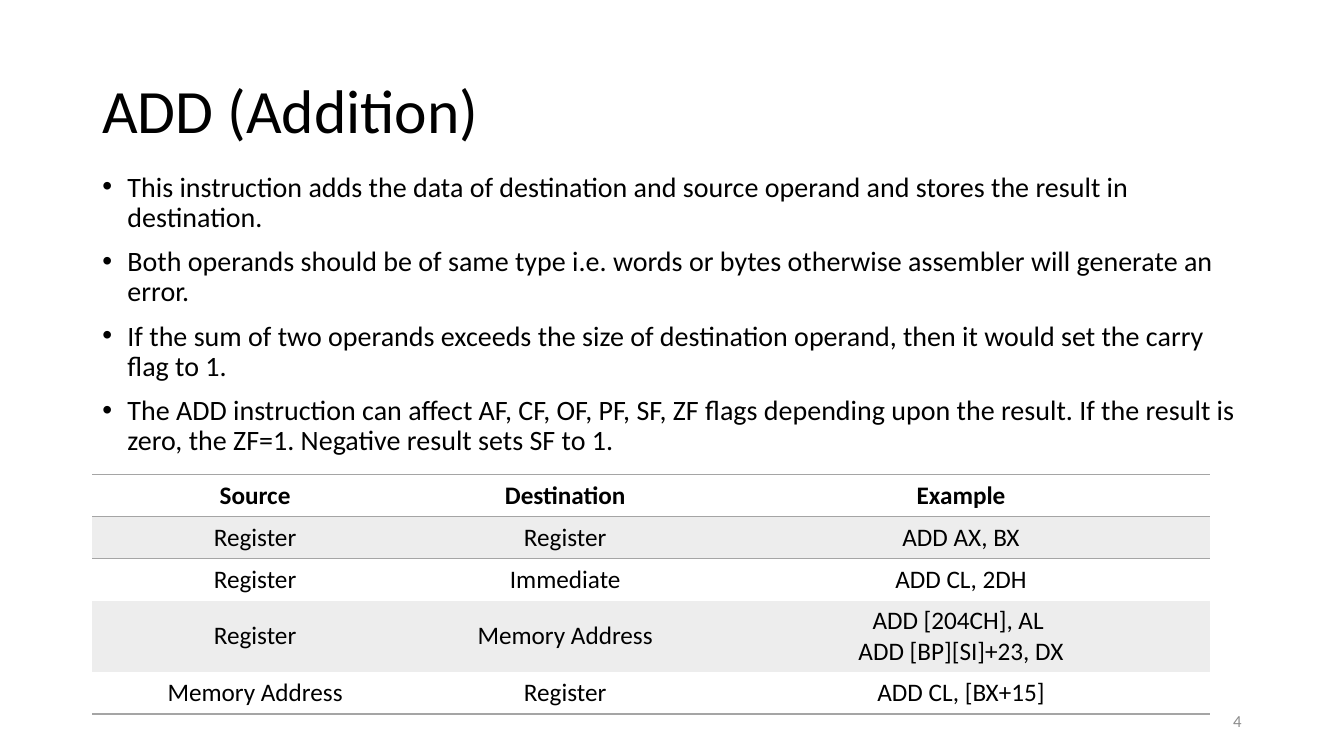
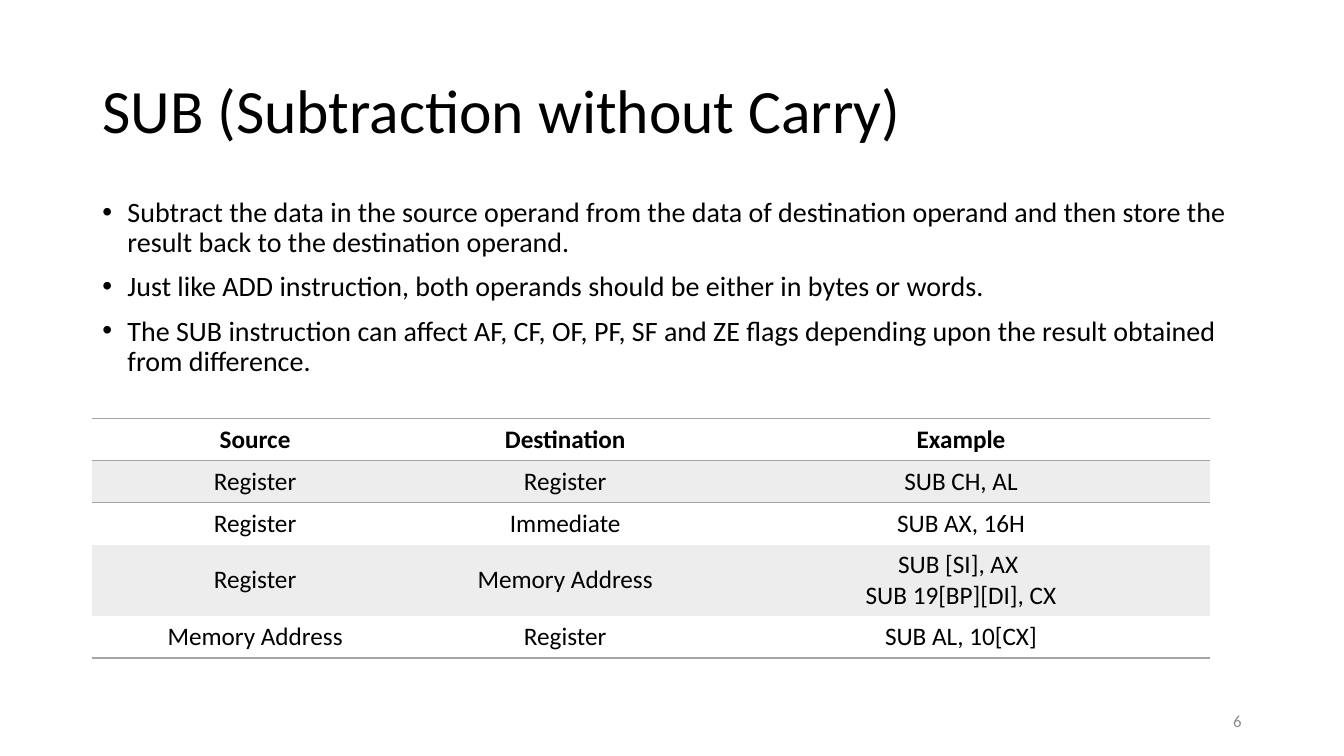
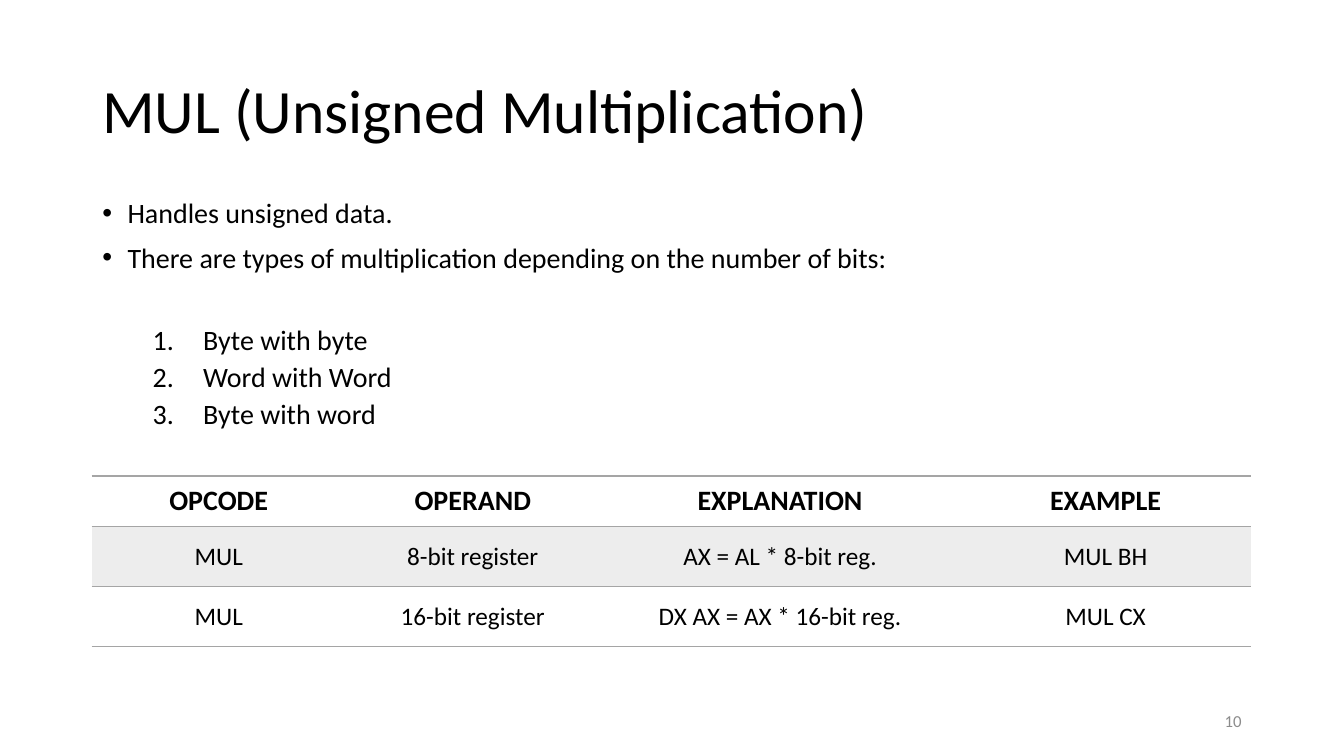
from lxml.etree import SubElement
from pptx import Presentation
from pptx.dml.color import RGBColor
from pptx.enum.text import MSO_ANCHOR, PP_ALIGN
from pptx.oxml import parse_xml
from pptx.oxml.ns import nsdecls, qn
from pptx.util import Pt

THEME = {
    "font": "Calibri",
    "text": "000000",
    "muted": "8C8C8C",
    "rule": "A5A5A5",
    "band": "EDEDED",
    "title_size": 44,
    "body_size": 20,
    "cell_size": 18,
    "page_size": 12,
}
PLAIN_TABLE = "{2D5ABB26-0587-4C30-8999-92F81FD0307C}"
LEFT, WIDTH = 66, 828

TITLE_FORMAT = {"line_spacing": 0.9}
BULLET_FORMAT = {"line_spacing": 0.9, "space_before": Pt(10)}
NUMBER_FORMAT = {"line_spacing": 0.9, "space_before": Pt(5)}
FIRST_NUMBER_FORMAT = NUMBER_FORMAT | {"space_before": Pt(37)}
PAGE_FORMAT = {"alignment": PP_ALIGN.RIGHT}
CELL_FORMAT = {"alignment": PP_ALIGN.CENTER}

LIST_MARKS = {
    "bullet": (18, -18, "a:buChar", {"char": "•"}),
    "number": (72, -36, "a:buAutoNum", {"type": "arabicPeriod"}),
}

OPERAND_TABLE = {
    "left": 66,
    "columns": [232.5, 210.5, 355],
    "heights": [30, 30, 30, 51, 30],
    "header_size": THEME["cell_size"],
    "header_margins": (7.2, 3.6),
    "body_margins": (7.2, 3.6),
}
OPCODE_TABLE = {
    "left": 65.5,
    "columns": [181.5, 181.5, 257.5, 207.5],
    "heights": [36, 43, 43],
    "header_size": THEME["body_size"],
    "header_margins": (5.76, 5.76),
    "body_margins": (7.2, 10.5),
}
OPERAND_HEADER = ["Source", "Destination", "Example"]
OPERAND_PAIRS = [
    ["Register", "Register"],
    ["Register", "Immediate"],
    ["Register", "Memory Address"],
    ["Memory Address", "Register"],
]

add_examples = ["ADD AX, BX", "ADD CL, 2DH", "ADD [204CH], AL \nADD [BP][SI]+23, DX", "ADD CL, [BX+15]"]
sub_examples = ["SUB CH, AL", "SUB AX, 16H", "SUB [SI], AX \nSUB 19[BP][DI], CX", "SUB AL, 10[CX]"]

SLIDES = [
    {
        "title": "ADD (Addition)",
        "page": "4",
        "body_box": (120, WIDTH, 343),
        "bullets": [
            "This instruction adds the data of destination and source operand and stores the result in destination.",
            "Both operands should be of same type i.e. words or bytes otherwise assembler will generate an error.",
            "If the sum of two operands exceeds the size of destination operand, then it would set the carry flag to 1.",
            "The ADD instruction can affect AF, CF, OF, PF, SF, ZF flags depending upon the result. "
            "If the result is zero, the ZF=1. Negative result sets SF to 1.",
        ],
        "numbers": [],
        "table": OPERAND_TABLE,
        "table_top": 339,
        "rows": [OPERAND_HEADER] + [pair + [example] for pair, example in zip(OPERAND_PAIRS, add_examples)],
    },
    {
        "title": "SUB (Subtraction without Carry)",
        "page": "6",
        "body_box": (138, WIDTH, 343),
        "bullets": [
            "Subtract the data in the source operand from the data of destination operand "
            "and then store the result back to the destination operand.",
            "Just like ADD instruction, both operands should be either in bytes or words.",
            "The SUB instruction can affect AF, CF, OF, PF, SF and ZE flags depending upon "
            "the result obtained from difference.",
        ],
        "numbers": [],
        "table": OPERAND_TABLE,
        "table_top": 299,
        "rows": [OPERAND_HEADER] + [pair + [example] for pair, example in zip(OPERAND_PAIRS, sub_examples)],
    },
    {
        "title": "MUL (Unsigned Multiplication)",
        "page": "10",
        "body_box": (139, 790.5, 311),
        "bullets": [
            "Handles unsigned data.",
            "There are types of multiplication depending on the number of bits:",
        ],
        "numbers": ["Byte with byte", "Word with Word", "Byte with word"],
        "table": OPCODE_TABLE,
        "table_top": 340,
        "rows": [
            ["OPCODE", "OPERAND", "EXPLANATION", "EXAMPLE"],
            ["MUL", "8-bit register", "AX = AL * 8-bit reg.", "MUL BH"],
            ["MUL", "16-bit register", "DX AX = AX * 16-bit reg.", "MUL CX"],
        ],
    },
]


def write_lines(text_frame, lines, size, color="text", bold=False):
    for index, (text, formats, mark) in enumerate(lines):
        paragraph = text_frame.paragraphs[0] if index == 0 else text_frame.add_paragraph()
        for name, value in formats.items():
            setattr(paragraph, name, value)
        run = paragraph.add_run()
        run.text = text
        for name, value in {"name": THEME["font"], "size": Pt(size), "bold": bold}.items():
            setattr(run.font, name, value)
        run.font.color.rgb = RGBColor.from_string(THEME[color])
        if mark:
            margin, indent, tag, attributes = LIST_MARKS[mark]
            properties = paragraph._p.get_or_add_pPr()
            properties.set("marL", str(Pt(margin)))
            properties.set("indent", str(Pt(indent)))
            SubElement(properties, qn("a:buFont"), typeface="Arial" if mark == "bullet" else "+mj-lt")
            SubElement(properties, qn(tag), attributes)


def add_text(slide, box, lines, size, anchor, color="text"):
    text_frame = slide.shapes.add_textbox(*map(Pt, box)).text_frame
    text_frame.word_wrap = True
    text_frame.vertical_anchor = anchor
    write_lines(text_frame, lines, size, color)


presentation = Presentation()
presentation.slide_width, presentation.slide_height = Pt(960), Pt(540)

for content in SLIDES:
    slide = presentation.slides.add_slide(presentation.slide_layouts[6])
    add_text(slide, (LEFT, 29, WIDTH, 104), [(content["title"], TITLE_FORMAT, None)],
             THEME["title_size"], MSO_ANCHOR.MIDDLE)

    lines = [(text, BULLET_FORMAT, "bullet") for text in content["bullets"]]
    for index, text in enumerate(content["numbers"]):
        lines.append((text, NUMBER_FORMAT if index else FIRST_NUMBER_FORMAT, "number"))
    add_text(slide, (LEFT, *content["body_box"]), lines, THEME["body_size"], MSO_ANCHOR.TOP)

    add_text(slide, (678, 500.5, 216, 29), [(content["page"], PAGE_FORMAT, None)],
             THEME["page_size"], MSO_ANCHOR.MIDDLE, "muted")

    layout, rows = content["table"], content["rows"]
    columns, heights = layout["columns"], layout["heights"]
    frame = slide.shapes.add_table(
        len(rows), len(columns), Pt(layout["left"]), Pt(content["table_top"]),
        Pt(sum(columns)), Pt(sum(heights)))
    table = frame.table
    table.horz_banding = False
    next(frame._element.iter(qn("a:tableStyleId"))).text = PLAIN_TABLE
    for column, width in zip(table.columns, columns):
        column.width = Pt(width)

    for row_index, (row, height, texts) in enumerate(zip(table.rows, heights, rows)):
        row.height = Pt(height)
        header = row_index == 0
        side, vertical = layout["header_margins" if header else "body_margins"]
        cell_formats = {
            "vertical_anchor": MSO_ANCHOR.MIDDLE,
            "margin_left": Pt(side),
            "margin_right": Pt(side),
            "margin_top": Pt(vertical),
            "margin_bottom": Pt(vertical),
        }
        edges = {0: ["lnT", "lnB"], 1: ["lnT"], len(rows) - 1: ["lnB"]}.get(row_index, [])
        for cell, text in zip(row.cells, texts):
            for name, value in cell_formats.items():
                setattr(cell, name, value)
            write_lines(cell.text_frame, [(line, CELL_FORMAT, None) for line in text.split("\n")],
                        layout["header_size"] if header else THEME["cell_size"], bold=header)
            if row_index % 2:
                cell.fill.solid()
                cell.fill.fore_color.rgb = RGBColor.from_string(THEME["band"])
            else:
                cell.fill.background()
            for position, edge in enumerate(edges):
                cell._tc.get_or_add_tcPr().insert(position, parse_xml(
                    f'<a:{edge} {nsdecls("a")} w="{Pt(1)}"><a:solidFill>'
                    f'<a:srgbClr val="{THEME["rule"]}"/></a:solidFill></a:{edge}>'))

presentation.save("out.pptx")
